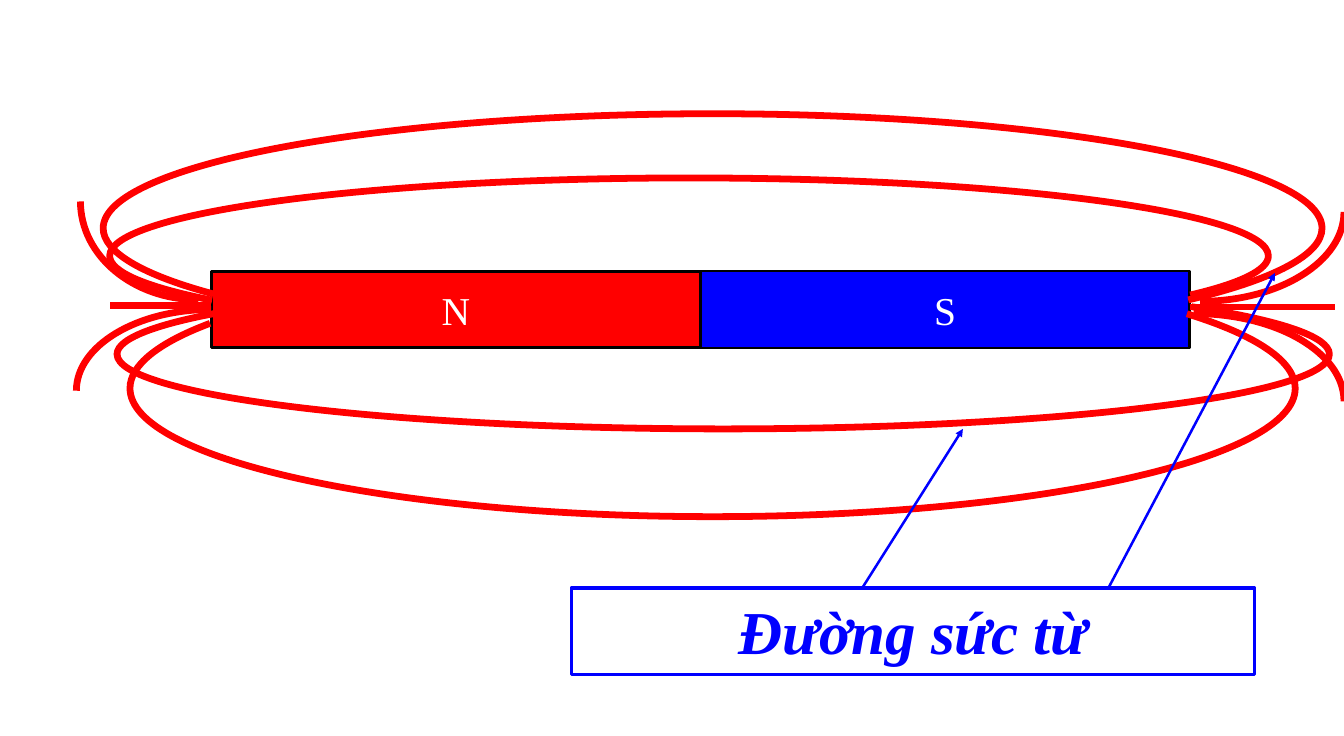
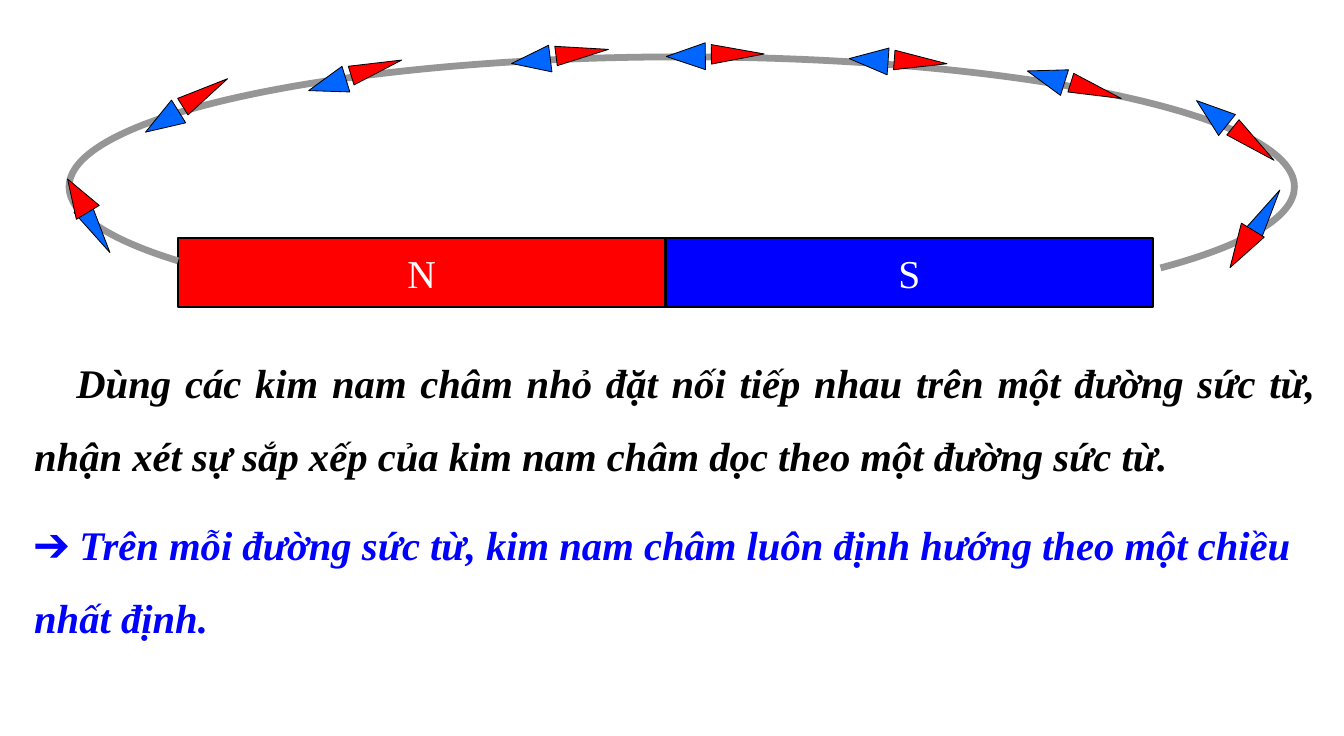
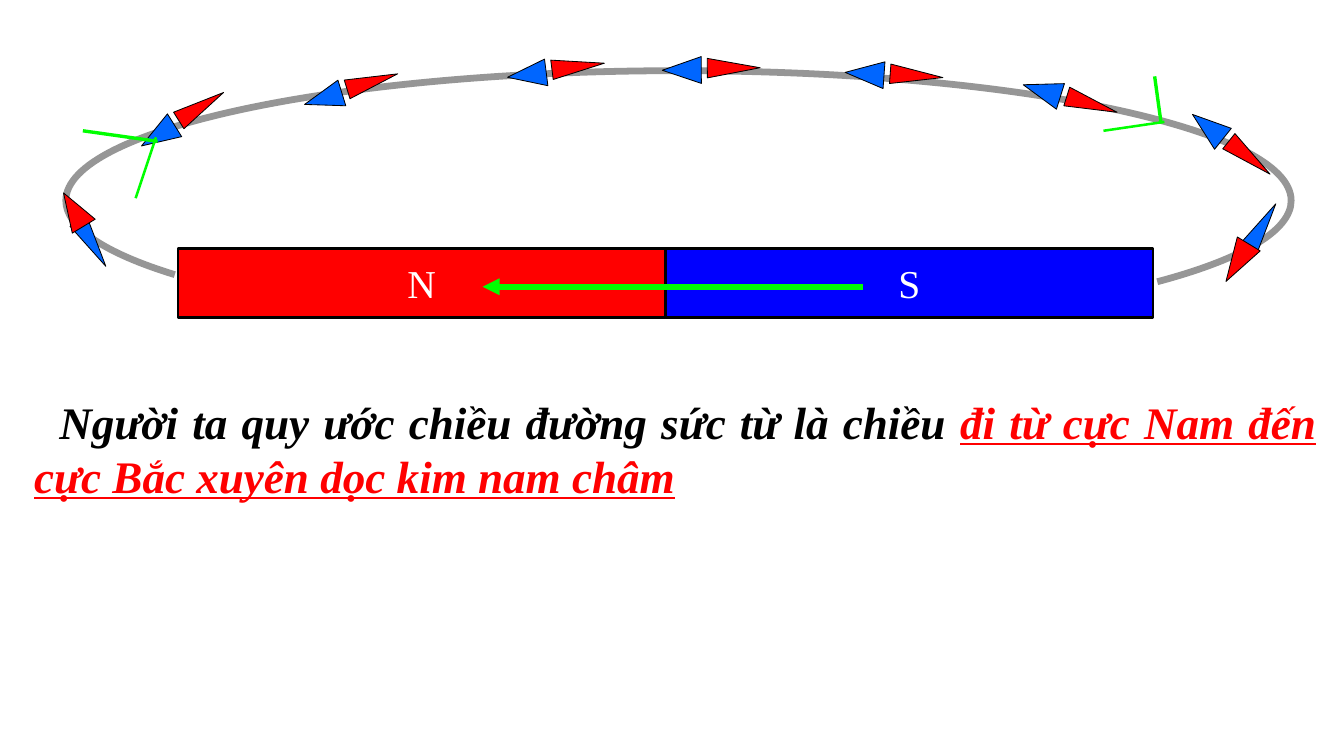
"""Three slides on the field lines of a bar magnet."""
from math import ceil, cos, floor, radians, sin, tan

from lxml import etree
from pptx import Presentation
from pptx.dml.color import RGBColor
from pptx.enum.shapes import MSO_CONNECTOR as Link, MSO_SHAPE as Kind
from pptx.enum.text import MSO_ANCHOR as Anchor, PP_ALIGN as Align
from pptx.oxml.ns import qn
from pptx.util import Inches, Pt

RED = RGBColor(0xFF, 0, 0)
BLUE = RGBColor(0, 0, 0xFF)
SKY = RGBColor(0, 0x66, 0xFF)
GREEN = RGBColor(0, 0xFF, 0)
GREY = RGBColor(0x96, 0x96, 0x96)
BLACK = RGBColor(0, 0, 0)
WHITE = RGBColor(0xFF, 0xFF, 0xFF)
FONT = "Times New Roman"
THIN, FAT = (0.24, 0.65), (0.33, 0.48)


def put(shapes, kind, box, fill, ink, width):
    shape = shapes.add_shape(kind, *map(Inches, box))
    shape.shadow.inherit = False
    if fill is None:
        shape.fill.background()
    else:
        shape.fill.solid()
        shape.fill.fore_color.rgb = fill
    shape.line.color.rgb = ink
    shape.line.width = Pt(width)
    return shape


def wire(page, ends, ink, width, tip=False):
    line = page.shapes.add_connector(Link.STRAIGHT, *map(Inches, ends))
    line.line.color.rgb = ink
    line.line.width = Pt(width)
    props = line._element.spPr
    if tip:
        etree.SubElement(props.find(qn("a:ln")), qn("a:tailEnd"), type="triangle")
    etree.SubElement(props, qn("a:effectLst"))


deck = Presentation()
deck.slide_width, deck.slide_height = Inches(16.54), Inches(9.06)
pages = [deck.slides.add_slide(deck.slide_layouts[6]) for _ in range(3)]
field, chain, course = pages

magnets = [(field, 2.6, 3.34, 6.02, 0.94), (chain, 2.19, 2.93, 6, 0.85),
           (course, 2.19, 3.06, 6, 0.85)]
for page, left, top, wide, high in magnets:
    group = page.shapes.add_group_shape()
    for pole, fill, col, width in [("S", BLUE, 1, 2), ("N", RED, 0, 2.25)]:
        half = put(group.shapes, Kind.RECTANGLE, (left + col * wide, top, wide, high),
                   fill, BLACK, width)
        frame = half.text_frame
        frame.word_wrap = False
        frame.vertical_anchor = Anchor.MIDDLE
        para = frame.paragraphs[0]
        para.text = pole
        para.alignment = Align.CENTER
        para.font.name, para.font.size = FONT, Pt(35)
        para.font.color.rgb = WHITE

arcs = [
    (field, RED, 8.9, 4.36, 7.46, 0.92, 217.5, -39.4),
    (field, RED, 8.77, 4.78, 7.17, 1.58, 210.4, -35.5),
    (field, RED, 8.48, 3.15, 7.13, 0.96, 30.1, -214.6),
    (field, RED, 8.77, 2.81, 7.5, 1.41, 38.7, -215),
    (field, RED, 2.6, 4.81, 1.66, 1, 270, 180),
    (field, RED, 14.69, 4.94, 1.85, 1.08, 270, 360),
    (field, RED, 14.77, 2.61, 1.77, 1.1, 90, 0),
    (field, RED, 2.44, 2.48, 1.45, 1.21, 90, 180),
    (chain, GREY, 8.39, 2.3, 7.54, 1.6, 38.6, -214.7),
    (course, GREY, 8.35, 2.47, 7.54, 1.6, 38.6, -214.7),
]
for page, ink, midx, midy, radx, rady, first, last in arcs:
    low, high = min(first, last), max(first, last)
    inner = [90 * n for n in range(floor(low / 90) + 1, ceil(high / 90))]
    stops = sorted([low, *inner, high], reverse=first > last)
    unit = [(cos(radians(first)), sin(radians(first)))]
    for start, stop in zip(stops, stops[1:]):
        a, b = radians(start), radians(stop)
        pull = 4 / 3 * tan((b - a) / 4)
        unit += [(cos(a) - pull * sin(a), sin(a) + pull * cos(a)),
                 (cos(b) + pull * sin(b), sin(b) - pull * cos(b)), (cos(b), sin(b))]
    dots = [(Inches(midx + radx * x), Inches(midy + rady * y)) for x, y in unit]
    pen = page.shapes.build_freeform(*dots[0])
    pen.add_line_segments(dots[1:], close=False)
    arc = pen.convert_to_shape()
    sides = list(arc._element.iter(qn("a:lnTo")))
    for one, two, end in zip(sides[::3], sides[1::3], sides[2::3]):
        one.tag = qn("a:cubicBezTo")
        for side in (two, end):
            one.append(side[0])
            side.getparent().remove(side)
    arc.shadow.inherit = False
    arc.fill.background()
    arc.line.color.rgb = ink
    arc.line.width = Pt(6)

wire(field, (14.64, 3.78, 16.43, 3.78), RED, 6)
wire(field, (1.36, 3.76, 2.6, 3.76), RED, 6)

needles = [
    (11.01, 0.75, 94.1, -2, 0.32, FAT, THIN),
    (8.76, 0.68, 89.6, -2, 0.32, FAT, THIN),
    (6.85, 0.7, 82.8, -2, 0.32, FAT, THIN),
    (4.33, 0.94, 72.9, -2, 0.32, FAT, THIN),
    (2.26, 1.32, 58, -2, 0.32, FAT, THIN),
    (1.07, 2.62, 328.7, 3, 0.24, THIN, FAT),
    (13.18, 1.03, 107.4, -2, 0.32, FAT, THIN),
    (15.17, 1.58, 128.7, -2, 0.32, FAT, THIN),
    (15.43, 2.84, 211.3, 3, 0.27, THIN, (0.33, 0.54)),
]
for page, right, down in [(chain, 0, 0), (course, -0.05, 0.17)]:
    for midx, midy, turn, skew, reach, south, north in needles:
        group = page.shapes.add_group_shape()
        way = radians(turn + skew)
        for fill, (wide, high), side in [(SKY, south, -1), (RED, north, 1)]:
            x = midx + right + side * reach * sin(way)
            y = midy + down - side * reach * cos(way)
            tip = put(group.shapes, Kind.ISOSCELES_TRIANGLE,
                      (x - wide / 2, y - high / 2, wide, high), fill, BLACK, 0.75)
            tip.rotation = turn if side > 0 else (turn + 180) % 360

for ends, width in [((1.02, 1.61, 1.94, 1.74), 3), ((1.92, 1.69, 1.67, 2.44), 2.25),
                    ((14.21, 0.94, 14.29, 1.52), 3), ((14.33, 1.5, 13.58, 1.61), 2.25)]:
    wire(course, ends, GREEN, width)
wire(course, (10.62, 3.53, 5.94, 3.53), GREEN, 5, True)

label = put(field.shapes, Kind.RECTANGLE, (7.03, 7.24, 8.41, 1.06), None, BLUE, 3)
wire(field, (10.61, 7.24, 11.85, 5.28), BLUE, 2.25, True)
wire(field, (13.64, 7.24, 15.69, 3.36), BLUE, 2.25, True)

task = chain.shapes.add_textbox(*map(Inches, (0.27, 4.03, 16.08, 1.86)))
answer = chain.shapes.add_textbox(*map(Inches, (0.27, 6.03, 16, 1.86)))
rule = course.shapes.add_textbox(*map(Inches, (0.27, 4.78, 16.08, 1.49)))
texts = [
    (label, Align.CENTER, 1, 0, 54, [("Đường sức từ", BLUE)]),
    (task, Align.JUSTIFY, 1.5, 0.52, 36, [
        ("Dùng các kim nam châm nhỏ đặt nối tiếp nhau trên một đường sức từ, nhận xét "
         "sự sắp xếp của kim nam châm dọc theo một đường sức từ.", BLACK)]),
    (answer, Align.LEFT, 1.5, 0, 36, [
        ("➔ ", BLUE),
        ("Trên mỗi đường sức từ, kim nam châm luôn định hướng theo một chiều nhất định.",
         BLUE)]),
    (rule, Align.JUSTIFY, 1, 0.31, 40, [
        ("Người ta quy ước chiều đường sức từ là chiều ", BLACK),
        ("đi từ cực Nam đến cực Bắc xuyên dọc kim nam châm", RED)]),
]
for box, align, space, indent, size, runs in texts:
    frame = box.text_frame
    frame.word_wrap = True
    frame.vertical_anchor = Anchor.TOP
    frame.margin_left = frame.margin_right = Inches(0.15)
    frame.margin_top = frame.margin_bottom = Inches(0.07)
    para = frame.paragraphs[0]
    para.alignment, para.line_spacing = align, space
    if indent:
        para._p.get_or_add_pPr().set("indent", str(Inches(indent)))
    para.font.name, para.font.size = FONT, Pt(size)
    para.font.bold = para.font.italic = True
    for words, ink in runs:
        run = para.add_run()
        run.text = words
        run.font.color.rgb = ink
        if ink == RED:
            run.font.underline = True
        if words == "➔ ":
            run.font.size, run.font.italic = Pt(35), False

deck.save("out.pptx")
